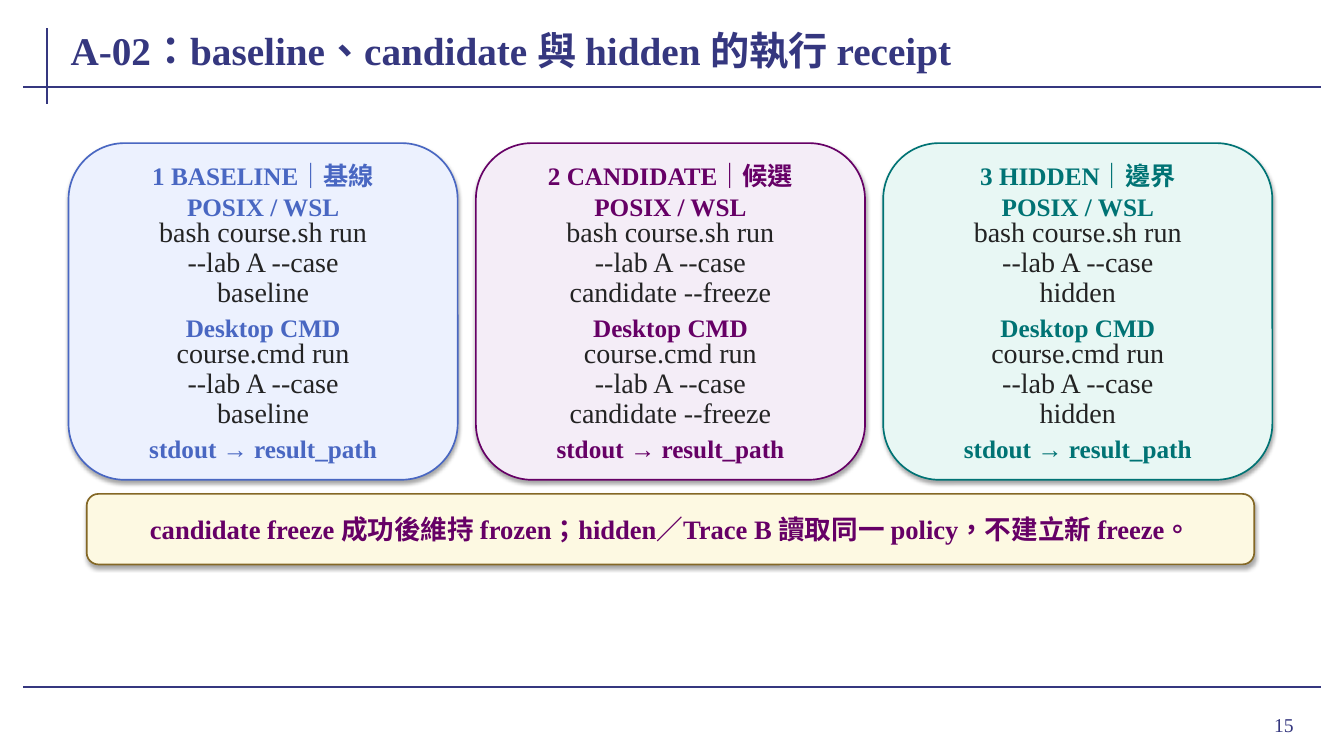
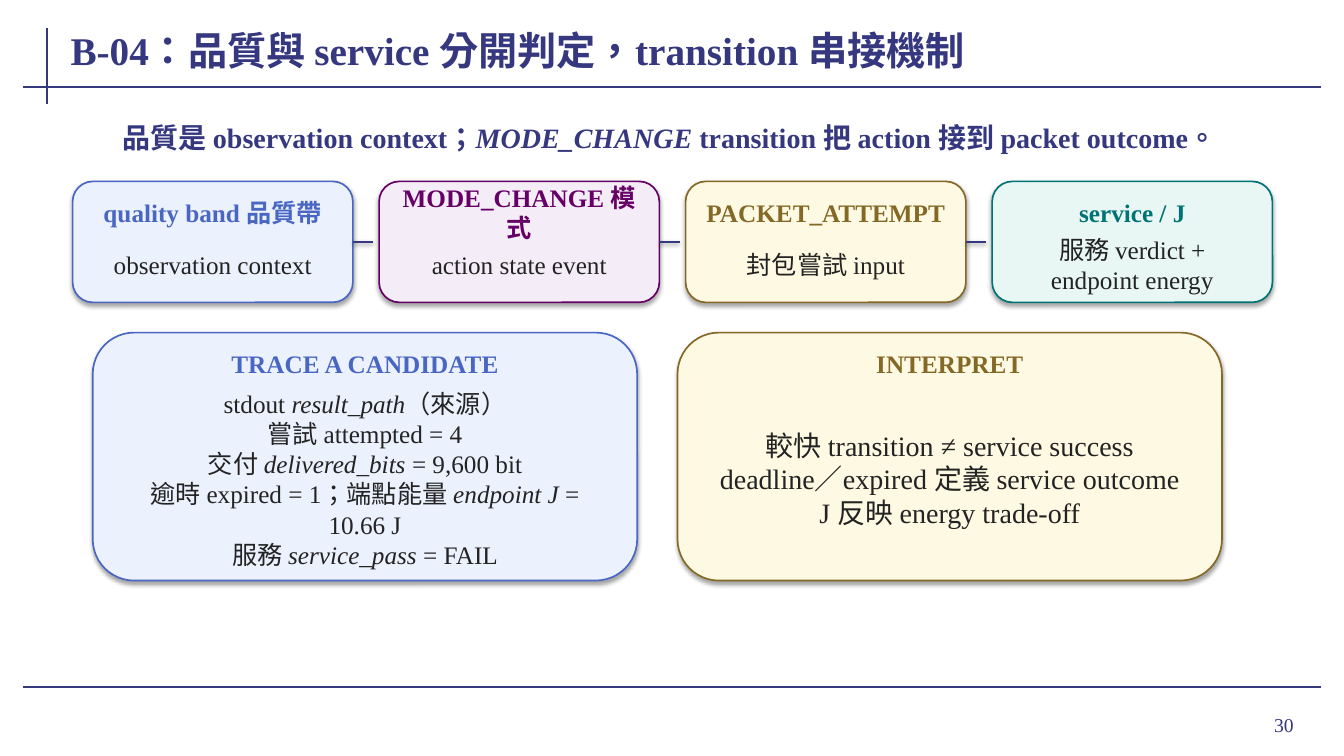
from typing import NamedTuple

from lxml import etree
from pptx import Presentation
from pptx.dml.color import RGBColor
from pptx.enum.lang import MSO_LANGUAGE_ID
from pptx.enum.shapes import MSO_CONNECTOR, MSO_SHAPE
from pptx.enum.text import MSO_ANCHOR, MSO_AUTO_SIZE, PP_ALIGN
from pptx.oxml.ns import qn
from pptx.util import Inches, Pt

STRAIGHT = MSO_CONNECTOR.STRAIGHT
ROUNDED = MSO_SHAPE.ROUNDED_RECTANGLE
MIDDLE = MSO_ANCHOR.MIDDLE
GROW = MSO_AUTO_SIZE.SHAPE_TO_FIT_TEXT
LEFT, CENTER, RIGHT = PP_ALIGN.LEFT, PP_ALIGN.CENTER, PP_ALIGN.RIGHT
CHINESE = MSO_LANGUAGE_ID.TRADITIONAL_CHINESE

FONT = "Times New Roman"
COLORS = {
    "navy": "35377F", "ink": "232323", "black": "000000",
    "blue": "4967C2", "blue_fill": "ECF1FE",
    "purple": "660066", "purple_fill": "F4EDF7",
    "teal": "007374", "teal_fill": "E8F7F4",
    "gold": "846826", "gold_fill": "FDF9E2",
}
TIGHT = (0.01, 0)
SNUG = (0.02, 0)
ROOMY = (0.08, 0.04)
DEFAULT = (0.1, 0.05)


class Box(NamedTuple):
    """A rectangle in inches."""
    left: float
    top: float
    width: float
    height: float

    def inner(self, side, top, height):
        """Return a horizontally inset band, measured from this box's top."""
        return Box(self.left + side, self.top + top, self.width - 2 * side, height)

    def lengths(self):
        """Return the four sides as lengths."""
        return [Inches(value) for value in self]


def rgb(name):
    """Look up a named colour."""
    return RGBColor.from_string(COLORS[name])


def add_effects(shape, opacity=None, distance=1.8):
    """Give a shape an empty effect list or a soft downward shadow."""
    effects = etree.SubElement(shape._element.spPr, qn("a:effectLst"))
    if opacity:
        shadow = etree.SubElement(
            effects, qn("a:outerShdw"), blurRad=str(Pt(3.1)), dist=str(Pt(distance)),
            dir="5400000", algn="ctr", rotWithShape="0")
        color = etree.SubElement(shadow, qn("a:srgbClr"), val=COLORS["black"])
        etree.SubElement(color, qn("a:alpha"), val=str(opacity * 1000))


def add_line(slide, start, end, shadow_opacity=None):
    """Draw a navy rule between two points."""
    line = slide.shapes.add_connector(
        STRAIGHT, *[Inches(value) for value in (*start, *end)])
    line.line.color.rgb = rgb("navy")
    line.line.width = Pt(1.5)
    add_effects(line, shadow_opacity, 1.6)


def add_text(slide, box, lines, size, color="ink", bold=False, align=CENTER,
             margins=TIGHT, grow=True, pitch=None):
    """Write lines of text, with asterisks around italic words."""
    shape = slide.shapes.add_textbox(*box.lengths())
    frame = shape.text_frame
    frame.word_wrap = True
    frame.vertical_anchor = MIDDLE
    if grow:
        frame.auto_size = GROW
    frame.margin_left = frame.margin_right = Inches(margins[0])
    frame.margin_top = frame.margin_bottom = Inches(margins[1])
    for index, line in enumerate(lines):
        paragraph = frame.add_paragraph() if index else frame.paragraphs[0]
        paragraph.alignment = align
        if pitch:
            paragraph.line_spacing = Inches(pitch)
        for part, text in enumerate(line.split("*")):
            if text:
                run = paragraph.add_run()
                run.text = text
                font = run.font
                font.name, font.size, font.bold = FONT, Pt(size), bold
                font.italic = part % 2 == 1
                font.color.rgb = rgb(color)
                font.language_id = CHINESE


def add_panel(slide, box, color):
    """Draw a tinted rounded panel with a soft shadow."""
    panel = slide.shapes.add_shape(ROUNDED, *box.lengths())
    panel.fill.solid()
    panel.fill.fore_color.rgb = rgb(color + "_fill")
    panel.line.color.rgb = rgb(color)
    panel.line.width = Pt(1.2)
    add_effects(panel, 35)


def add_frame(presentation, title, number):
    """Add a slide with the shared rules, title and page number."""
    slide = presentation.slides.add_slide(presentation.slide_layouts[6])
    add_line(slide, (0.47, 0.28), (0.47, 1.03))
    for top in (0.86, 6.82):
        add_line(slide, (0.23, top), (13.1, top))
    add_text(slide, Box(11.96, 6.93, 0.97, 0.52), [str(number)], 14, "navy",
             align=RIGHT, margins=DEFAULT, grow=False)
    add_text(slide, Box(0.68, 0.18, 11.95, 0.62), [title], 28, "navy", True,
             align=LEFT, margins=SNUG, grow=False)
    return slide


def add_command_card(slide, box, color, heading, case):
    """Show the commands of one case for both shells."""
    add_panel(slide, box, color)
    add_text(slide, box.inner(0.12, 0.18, 0.28), [heading], 18, color, True)
    shells = [("POSIX / WSL", "bash course.sh run"), ("Desktop CMD", "course.cmd run")]
    for index, (shell, command) in enumerate(shells):
        top = 0.52 + 1.2 * index
        add_text(slide, box.inner(0.16, top, 0.22), [shell], 18, color, True)
        add_text(slide, box.inner(0.16, top + 0.22, 0.9),
                 [command, "--lab A --case", case], 20, pitch=0.3)
    add_text(slide, box.inner(0.18, 2.9, 0.26), ["stdout → result_path"], 18, color, True)


def add_topic_card(slide, box, color, heading, lines, size=18):
    """Show a heading above centred body lines."""
    add_panel(slide, box, color)
    add_text(slide, box.inner(0.18, 0.16, 0.3), [heading], 18, color, True)
    add_text(slide, box.inner(0.2, 0.58, box.height - 0.72), lines, size, margins=ROOMY)


def build_receipt_slide(presentation):
    """Build the slide on the three command receipts."""
    slide = add_frame(presentation, "A-02：baseline、candidate 與 hidden 的執行 receipt", 15)
    cards = [
        ("blue", "1 BASELINE｜基線", "baseline"),
        ("purple", "2 CANDIDATE｜候選", "candidate --freeze"),
        ("teal", "3 HIDDEN｜邊界", "hidden"),
    ]
    for index, card in enumerate(cards):
        add_command_card(slide, Box(0.68 + 4.04 * index, 1.42, 3.86, 3.34), *card)
    note = Box(0.86, 4.9, 11.58, 0.7)
    add_panel(slide, note, "gold")
    add_text(slide, note.inner(0.18, 0.07, 0.56),
             ["candidate freeze 成功後維持 frozen；hidden／Trace B 讀取同一 policy，不建立新 freeze。"],
             19, "purple", True, margins=SNUG)


def build_transition_slide(presentation):
    """Build the slide on the chain from quality to service."""
    slide = add_frame(presentation, "B-04：品質與 service 分開判定，transition 串接機制", 30)
    add_text(slide, Box(0.96, 1.18, 11.36, 0.36),
             ["品質是 observation context；*MODE_CHANGE* transition 把 action 接到 packet outcome。"],
             20, "navy", True, margins=ROOMY)
    steps = [
        ("blue", "quality band 品質帶", "observation context"),
        ("purple", "MODE_CHANGE 模式", "action state event"),
        ("gold", "PACKET_ATTEMPT", "封包嘗試 input"),
        ("teal", "service / J", "服務 verdict + endpoint energy"),
    ]
    for index, (color, heading, detail) in enumerate(steps):
        box = Box(0.72 + 3.04 * index, 1.8, 2.78, 1.2)
        add_topic_card(slide, box, color, heading, [detail])
        if index < len(steps) - 1:
            right, middle = box.left + box.width, box.top + box.height / 2
            add_line(slide, (right, middle), (right + 0.2, middle), 38)
    topics = [
        ("blue", "TRACE A CANDIDATE", [
            "stdout *result_path*（來源）",
            "嘗試 attempted = 4",
            "交付 *delivered_bits* = 9,600 bit",
            "逾時 expired = 1；端點能量 *endpoint J* = 10.66 J",
            "服務 *service_pass* = FAIL",
        ], 18),
        ("gold", "INTERPRET", [
            "較快 transition ≠ service success",
            "deadline／expired 定義 service outcome",
            "J 反映 energy trade-off",
        ], 20),
    ]
    for index, topic in enumerate(topics):
        add_topic_card(slide, Box(0.92 + 5.8 * index, 3.3, 5.4, 2.46), *topic)


def main():
    """Build and save the presentation."""
    presentation = Presentation()
    presentation.slide_width, presentation.slide_height = Inches(13.33), Inches(7.5)
    build_receipt_slide(presentation)
    build_transition_slide(presentation)
    presentation.save("out.pptx")


if __name__ == "__main__":
    main()
